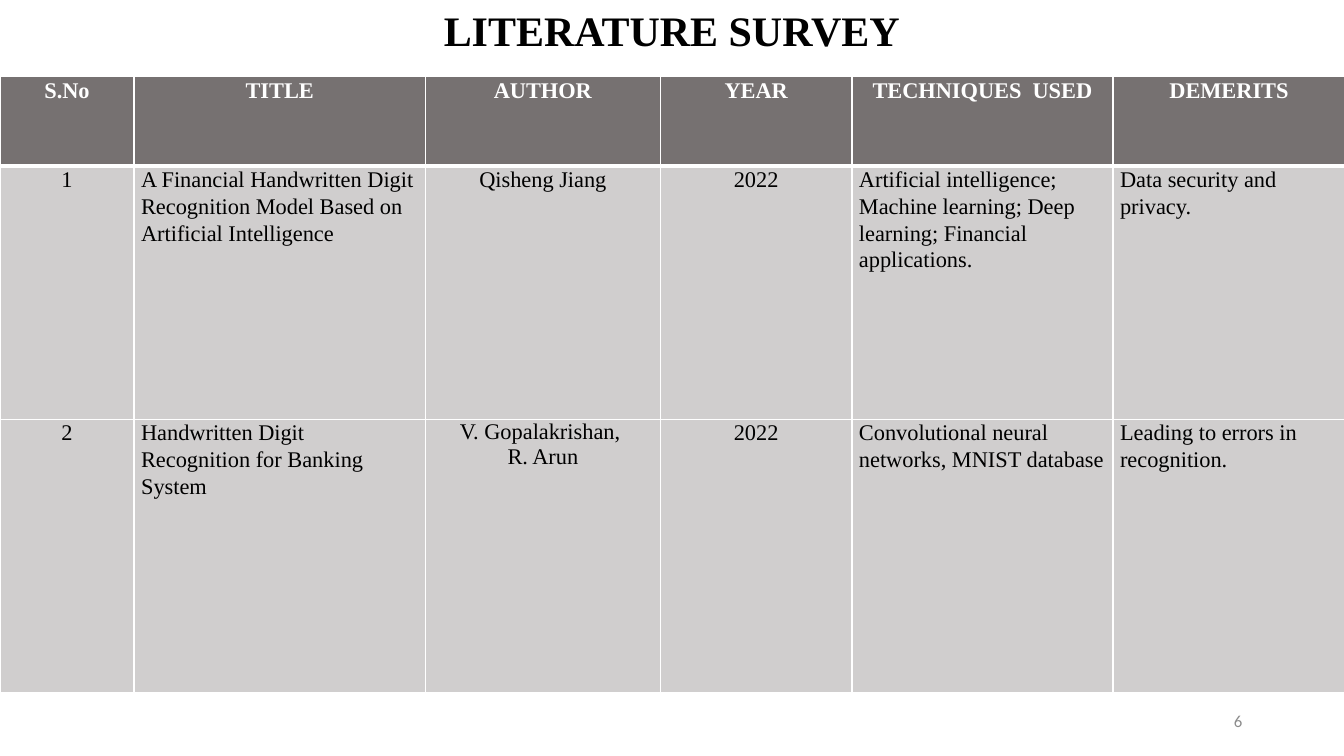
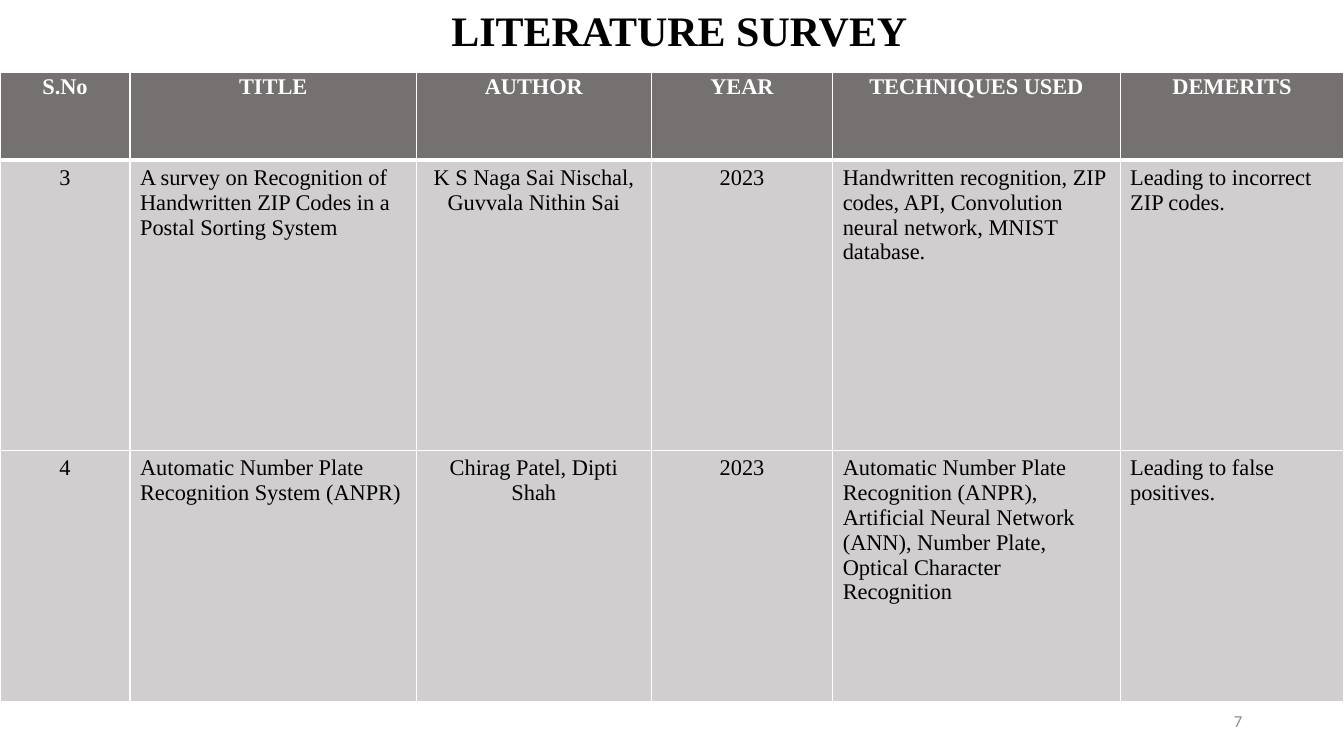
"""Build two literature survey slides, each holding a titled table."""
from dataclasses import dataclass

from lxml.etree import SubElement
from pptx import Presentation
from pptx.dml.color import RGBColor
from pptx.enum.text import MSO_ANCHOR as Anchor, PP_ALIGN as Align
from pptx.oxml.ns import qn
from pptx.slide import Slide
from pptx.table import _Cell as Cell
from pptx.text.text import TextFrame
from pptx.util import Emu, Pt

EMU_PER_PX = 9144
SLIDE_SIZE = (1333, 750)
BLACK, WHITE, NUMBER_GREY = "000000", "FFFFFF", "8C8C8C"
HEADER_FILL, BODY_FILL = "767171", "D0CECE"
SERIF, SANS = "Times New Roman", "Calibri"
TITLE = "LITERATURE SURVEY"
NUMBER_BOX = (942, 695, 300, 40)
LEFT_COLUMNS = (1, 4, 5)
THIN, THICK = 1, 3


@dataclass(frozen=True)
class CellStyle:
    """Margins in px and paragraph spacing of a table cell."""
    side: int
    top: int
    line_spacing: float | None = None
    space_after: int = 0


@dataclass(frozen=True)
class Survey:
    """One slide: its number, title box, table grid and cell texts."""
    number: int
    title_box: tuple[int, int, int, int]
    table_top: int
    columns: tuple[int, ...]
    rows: tuple[int, ...]
    body_style: CellStyle
    techniques_heading: str
    papers: tuple[tuple[str, ...], ...]


COMPACT = CellStyle(7, 0, 1.07, 8)
ROOMY = CellStyle(10, 5)

SURVEYS = (
    Survey(
        6, (321, 0, 691, 61), 76, (133, 289, 233, 190, 259, 230), (89, 251, 271),
        COMPACT, "TECHNIQUES  USED",
        (
            ("1", "A Financial Handwritten Digit Recognition Model Based on Artificial Intelligence",
             "Qisheng Jiang", "2022",
             "Artificial intelligence; Machine learning; Deep learning; Financial applications.",
             "Data security and privacy."),
            ("2", "Handwritten Digit Recognition for Banking System",
             "V. Gopalakrishan, \nR. Arun", "2022",
             "Convolutional neural networks, MNIST database",
             "Leading to errors in recognition."),
        ),
    ),
    Survey(
        7, (406, 0, 536, 91), 72, (129, 284, 233, 180, 285, 222), (87, 288, 249),
        ROOMY, "TECHNIQUES USED",
        (
            ("3", "A survey on Recognition of Handwritten ZIP Codes in a Postal Sorting System",
             "K S Naga Sai Nischal, Guvvala Nithin Sai", "2023",
             "Handwritten recognition, ZIP codes, API, Convolution neural network, MNIST database.",
             "Leading to incorrect ZIP codes."),
            ("4", "Automatic Number Plate Recognition System (ANPR)",
             "Chirag Patel, Dipti Shah", "2023",
             "Automatic Number Plate Recognition (ANPR), Artificial Neural Network (ANN), "
             "Number Plate, Optical Character Recognition",
             "Leading to false positives."),
        ),
    ),
)


def px(length: int) -> Emu:
    """Turn px into EMU."""
    return Emu(length * EMU_PER_PX)


def color(value: str) -> RGBColor:
    """Turn a hex string into a colour."""
    return RGBColor.from_string(value)


def write(frame: TextFrame, text: str, *, size: int, font: str = SERIF, fill: str = BLACK,
          bold: bool = False, align: Align = Align.LEFT,
          line_spacing: float | None = None, space_after: int = 0) -> None:
    """Write one paragraph per line of text."""
    frame.word_wrap = True
    for index, line in enumerate(text.split("\n")):
        paragraph = frame.add_paragraph() if index else frame.paragraphs[0]
        paragraph.alignment = align
        paragraph.line_spacing = line_spacing
        paragraph.space_after = Pt(space_after)
        run = paragraph.add_run()
        run.text = line
        run.font.name = font
        run.font.size = Pt(size)
        run.font.bold = bold
        run.font.color.rgb = color(fill)


def add_label(slide: Slide, box: tuple[int, int, int, int], text: str,
              anchor: Anchor = Anchor.TOP, **text_format) -> None:
    """Add a text box."""
    frame = slide.shapes.add_textbox(*map(px, box)).text_frame
    frame.vertical_anchor = anchor
    write(frame, text, **text_format)


def set_borders(cell: Cell, top: int, bottom: int) -> None:
    """Give a cell white borders, with thin sides."""
    properties = cell._tc.get_or_add_tcPr()
    for side, width in (("L", THIN), ("R", THIN), ("T", top), ("B", bottom)):
        line = SubElement(properties, qn(f"a:ln{side}"), w=str(Pt(width)))
        SubElement(SubElement(line, qn("a:solidFill")), qn("a:srgbClr"), val=WHITE)


def fill_cell(cell: Cell, text: str, row: int, column: int, body_style: CellStyle) -> None:
    """Format and fill a header or body cell."""
    header = row == 0
    style = COMPACT if header else body_style
    cell.margin_left = cell.margin_right = px(style.side)
    cell.margin_top = cell.margin_bottom = px(style.top)
    set_borders(cell, THICK if row == 1 else THIN, THICK if header else THIN)
    cell.fill.solid()
    cell.fill.fore_color.rgb = color(HEADER_FILL if header else BODY_FILL)
    single = "\n" not in text
    write(cell.text_frame, text, size=16, bold=header, fill=WHITE if header else BLACK,
          align=Align.LEFT if not header and column in LEFT_COLUMNS else Align.CENTER,
          line_spacing=style.line_spacing if single else None,
          space_after=style.space_after if single else 0)


def add_survey_table(slide: Slide, survey: Survey) -> None:
    """Add the table of surveyed papers."""
    headings = ("S.No", "TITLE", "AUTHOR", "YEAR", survey.techniques_heading, "DEMERITS")
    table = slide.shapes.add_table(
        len(survey.rows), len(survey.columns), px(0), px(survey.table_top),
        px(sum(survey.columns)), px(sum(survey.rows))).table
    table.first_row = table.horz_banding = False
    for column, width in zip(table.columns, survey.columns):
        column.width = px(width)
    for row, height in zip(table.rows, survey.rows):
        row.height = px(height)
    for row_index, texts in enumerate((headings, *survey.papers)):
        for column_index, text in enumerate(texts):
            fill_cell(table.cell(row_index, column_index), text,
                      row_index, column_index, survey.body_style)


def main() -> None:
    """Build and save the presentation."""
    presentation = Presentation()
    presentation.slide_width, presentation.slide_height = map(px, SLIDE_SIZE)
    for survey in SURVEYS:
        slide = presentation.slides.add_slide(presentation.slide_layouts[6])
        add_label(slide, survey.title_box, TITLE, size=30, bold=True, align=Align.CENTER)
        add_label(slide, NUMBER_BOX, str(survey.number), Anchor.MIDDLE,
                  size=12, font=SANS, fill=NUMBER_GREY, align=Align.RIGHT)
        add_survey_table(slide, survey)
    presentation.save("out.pptx")


if __name__ == "__main__":
    main()
